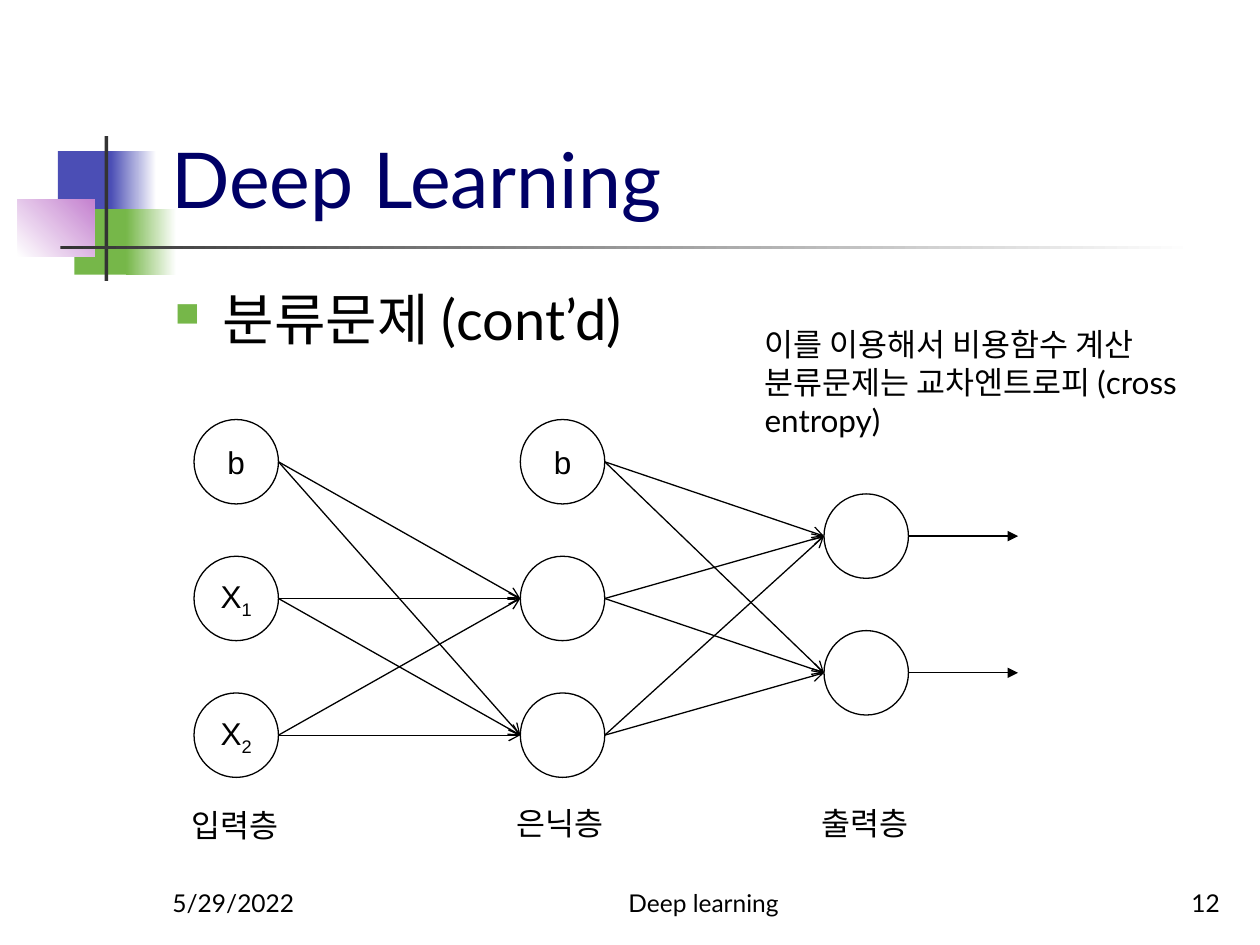
from lxml import etree
from pptx import Presentation
from pptx.dml.color import RGBColor
from pptx.enum.shapes import MSO_CONNECTOR, MSO_SHAPE
from pptx.enum.text import MSO_ANCHOR, PP_ALIGN
from pptx.oxml.ns import qn
from pptx.util import Inches, Pt

RECTANGLE, OVAL = MSO_SHAPE.RECTANGLE, MSO_SHAPE.OVAL
STRAIGHT = MSO_CONNECTOR.STRAIGHT
TOP, MIDDLE, BOTTOM = MSO_ANCHOR.TOP, MSO_ANCHOR.MIDDLE, MSO_ANCHOR.BOTTOM
LEFT, CENTER, RIGHT = PP_ALIGN.LEFT, PP_ALIGN.CENTER, PP_ALIGN.RIGHT
hex_color = RGBColor.from_string


def write(shape, text, subscript="", size=18, font="Lato", color="000000",
          align=LEFT, anchor=TOP, wrap=True):
    frame = shape.text_frame
    frame.word_wrap = wrap
    frame.vertical_anchor = anchor
    frame.text = text
    for paragraph in frame.paragraphs:
        paragraph.alignment = align
        if subscript:
            lowered = paragraph.add_run()
            lowered.text = subscript
            lowered._r.get_or_add_rPr().set("baseline", "-25000")
        for run in paragraph.runs:
            run.font.size = Pt(size)
            run.font.name = font
            run.font.color.rgb = hex_color(color)
    return frame


def draw_arrow(start, end, head):
    arrow = slide.shapes.add_connector(STRAIGHT, *map(Inches, start + end))
    arrow.line.color.rgb = hex_color("000000")
    arrow.line.width = Pt(0.75)
    etree.SubElement(arrow.line._get_or_add_ln(), qn("a:tailEnd"), type=head)
    etree.SubElement(arrow._element.spPr, qn("a:effectLst"))


prs = Presentation()
prs.slide_width, prs.slide_height = Inches(10), Inches(7.5)
slide = prs.slides.add_slide(prs.slide_layouts[6])

ornaments = [
    ((0.46, 1.2, 0.48, 0.52), ["4B4EB5"], 0),
    ((0.88, 1.2, 0.36, 0.52), ["4B4EB5", "FFFFFF"], 0),
    ((0.59, 1.66, 0.46, 0.52), ["76B749"], 0),
    ((1, 1.66, 0.4, 0.52), ["76B749", "FFFFFF"], 0),
    ((0.14, 1.58, 0.61, 0.46), ["FFFFFF", "C481CF"], 45),
    ((0.83, 1.08, 0.03, 1.15), ["333333"], 0),
    ((0.48, 1.95, 9, 0.03), ["333333", "FFFFFF"], 0),
]
for place, colors, angle in ornaments:
    ornament = slide.shapes.add_shape(RECTANGLE, *map(Inches, place))
    ornament.shadow.inherit = False
    ornament.line.fill.background()
    if len(colors) == 1:
        ornament.fill.solid()
        ornament.fill.fore_color.rgb = hex_color(colors[0])
    else:
        ornament.fill.gradient()
        ornament.fill.gradient_angle = angle
        for stop, color in zip(ornament.fill.gradient_stops, colors):
            stop.color.rgb = hex_color(color)

texts = [
    ((1.26, 0.23, 8.52, 1.6), "Deep Learning",
     dict(size=44, color="000066", anchor=BOTTOM)),
    ((1.27, 6.83, 2.08, 0.5), "5/29/2022", dict(size=14, anchor=BOTTOM)),
    ((4, 6.83, 3.17, 0.5), "Deep learning",
     dict(size=14, anchor=BOTTOM, align=CENTER)),
    ((7.7, 6.83, 2.08, 0.5), "12", dict(size=14, anchor=BOTTOM, align=RIGHT)),
    ((1.42, 6.35, 0.96, 0.4), "입력층", dict(wrap=False)),
    ((4, 6.33, 0.96, 0.4), "은닉층", dict(wrap=False)),
    ((6.42, 6.33, 0.96, 0.4), "출력층", dict(wrap=False)),
    ((5.97, 2.53, 3.8, 1.01),
     "이를 이용해서 비용함수 계산\n분류문제는 교차엔트로피 (cross\ventropy)",
     dict(wrap=False)),
]
for place, text, style in texts:
    write(slide.shapes.add_textbox(*map(Inches, place)), text, **style)

topic = slide.shapes.add_textbox(*map(Inches, (1.29, 2.21, 8.5, 4.5)))
topic_line = write(topic, "분류문제 (cont’d)", size=32).paragraphs[0]
bullet = topic_line._p.get_or_add_pPr()
bullet.set("marL", str(Inches(0.38)))
bullet.set("indent", str(Inches(-0.38)))
bullet_color = etree.SubElement(bullet, qn("a:buClr"))
etree.SubElement(bullet_color, qn("a:srgbClr"), val="76B749")
etree.SubElement(bullet, qn("a:buSzPct"), val="60000")
etree.SubElement(bullet, qn("a:buChar"), char="■")

diameter, row_gap = 0.67, 1.085
layers = [
    (1.54, 3.33, [("b", ""), ("X", "1"), ("X", "2")]),
    (4.13, 3.33, [("b", ""), ("", ""), ("", "")]),
    (6.54, 3.92, [("", ""), ("", "")]),
]
centers = []
for left, top, neurons in layers:
    centers.append([])
    for row, (name, index) in enumerate(neurons):
        y = top + row * row_gap
        neuron = slide.shapes.add_shape(
            OVAL, *map(Inches, (left, y, diameter, diameter)))
        neuron.shadow.inherit = False
        neuron.fill.background()
        neuron.line.color.rgb = hex_color("000000")
        neuron.line.width = Pt(0.75)
        if name:
            write(neuron, name, subscript=index, font="Arial",
                  align=CENTER, anchor=MIDDLE, wrap=False)
        centers[-1].append(y + diameter / 2)

inputs, hidden, outputs = centers
for layer, sources, targets in [(0, inputs, hidden), (1, hidden, outputs)]:
    for source in sources:
        for target in targets[-2:]:
            draw_arrow((layers[layer][0] + diameter, source),
                       (layers[layer + 1][0], target), "arrow")
for output in outputs:
    draw_arrow((layers[2][0] + diameter, output), (8.08, output), "triangle")

prs.save("out.pptx")
